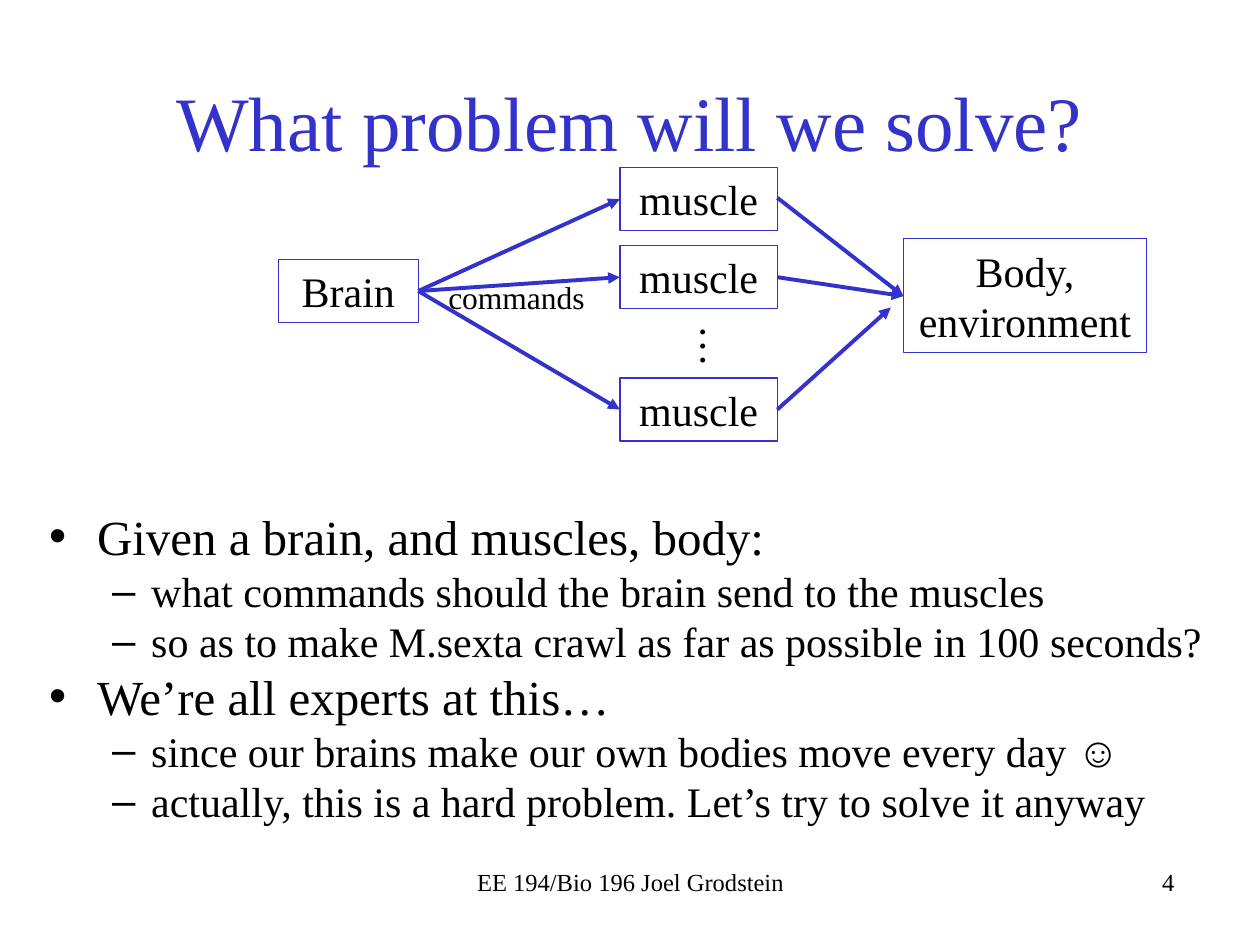
from lxml.etree import SubElement
from pptx import Presentation
from pptx.dml.color import RGBColor
from pptx.enum.shapes import MSO_CONNECTOR as Connector, MSO_SHAPE as Shape
from pptx.enum.text import MSO_ANCHOR as Anchor, MSO_AUTO_SIZE as AutoSize, PP_ALIGN as Align
from pptx.oxml.ns import qn
from pptx.util import Inches, Pt

BLUE = RGBColor(0x33, 0x33, 0xCC)
BLACK = RGBColor(0, 0, 0)
FONT = "Times New Roman"


def write(para, text, size=24, color=BLACK, align=Align.LEFT):
    """Put one formatted span of text in a paragraph."""
    para.alignment = align
    span = para.add_run()
    span.text = text
    span.font.name = FONT
    span.font.size = Pt(size)
    span.font.color.rgb = color


def place(shape, left, top, width, height):
    """Move and size a shape, in inches."""
    shape.left, shape.top = Inches(left), Inches(top)
    shape.width, shape.height = Inches(width), Inches(height)


deck = Presentation()
deck.slide_width, deck.slide_height = Inches(10), Inches(7.5)
page = deck.slides.add_slide(deck.slide_layouts[1])

# Title and bullet list
title, body = page.shapes.title, page.placeholders[1]
place(title, 0.75, 0.33, 8.5, 1.25)
title.text_frame.auto_size = AutoSize.NONE
title.text_frame.vertical_anchor = Anchor.MIDDLE
write(title.text_frame.paragraphs[0], "What problem will we solve?", 44, BLUE, Align.CENTER)

place(body, 0.29, 3.97, 9.49, 2.76)
body.text_frame.auto_size = AutoSize.NONE
LEVELS = [(28, 0.38, -0.38, "•"), (24, 0.81, -0.31, "–")]
POINTS = [
    (0, "Given a brain, and muscles, body:"),
    (1, "what commands should the brain send to the muscles"),
    (1, "so as to make M.sexta crawl as far as possible in 100 seconds?"),
    (0, "We’re all experts at this…"),
    (1, "since our brains make our own bodies move every day ☺"),
    (1, "actually, this is a hard problem. Let’s try to solve it anyway"),
]
for index, (level, text) in enumerate(POINTS):
    para = body.text_frame.add_paragraph() if index else body.text_frame.paragraphs[0]
    size, margin, indent, bullet = LEVELS[level]
    para.level = level
    para.space_before = Pt(0 if index else 5.6)
    write(para, text, size)
    props = para._p.get_or_add_pPr()
    props.set("marL", str(Inches(margin)))
    props.set("indent", str(Inches(indent)))
    SubElement(props, qn("a:buChar"), char=bullet)

# Boxes of the diagram
BOXES = [("Brain", 2.21, 2.06, 1.11, 0.5), ("Body, environment", 7.17, 1.89, 1.93, 0.91)]
BOXES += [("muscle", 4.92, top, 1.25, 0.5) for top in (1.33, 1.95, 3)]
for text, *bounds in BOXES:
    box = page.shapes.add_shape(Shape.RECTANGLE, *map(Inches, bounds))
    box.shadow.inherit = False
    box.fill.background()
    box.line.color.rgb = BLUE
    box.line.width = Pt(0.75)
    box.text_frame.word_wrap = True
    box.text_frame.vertical_anchor = Anchor.MIDDLE
    write(box.text_frame.paragraphs[0], text, align=Align.CENTER)

# Arrows from the brain to the muscles and on to the body
BRAIN_EXIT = (3.32, 2.31)
ARROWS = [(BRAIN_EXIT, (4.92, y)) for y in (1.58, 2.2, 3.25)]
ARROWS += [
    ((6.17, 1.57), (7.17, 2.35)),
    ((6.17, 2.2), (7.17, 2.35)),
    ((6.17, 3.25), (7.07, 2.44)),
]
for start, end in ARROWS:
    arrow = page.shapes.add_connector(Connector.STRAIGHT, *map(Inches, start + end))
    arrow.line.color.rgb = BLUE
    arrow.line.width = Pt(2.25)
    SubElement(arrow.line._get_or_add_ln(), qn("a:tailEnd"), type="triangle")
    SubElement(arrow._element.spPr, qn("a:effectLst"))

# Labels and footer
LABELS = [
    ("…", 24, Align.LEFT, 90, False, (5.44, 2.49, 0.51, 0.5)),
    ("commands", 18, Align.LEFT, 0, True, (3.46, 2.16, 1.46, 0.4)),
    ("EE 194/Bio 196 Joel Grodstein", 14, Align.CENTER, 0, True, (3.42, 6.83, 3.17, 0.5)),
    ("4", 14, Align.RIGHT, 0, True, (6.25, 6.83, 3.17, 0.5)),
]
for text, size, align, rotation, wrap, bounds in LABELS:
    label = page.shapes.add_textbox(*map(Inches, bounds))
    label.rotation = rotation
    label.text_frame.word_wrap = wrap
    write(label.text_frame.paragraphs[0], text, size, align=align)

deck.save("out.pptx")
